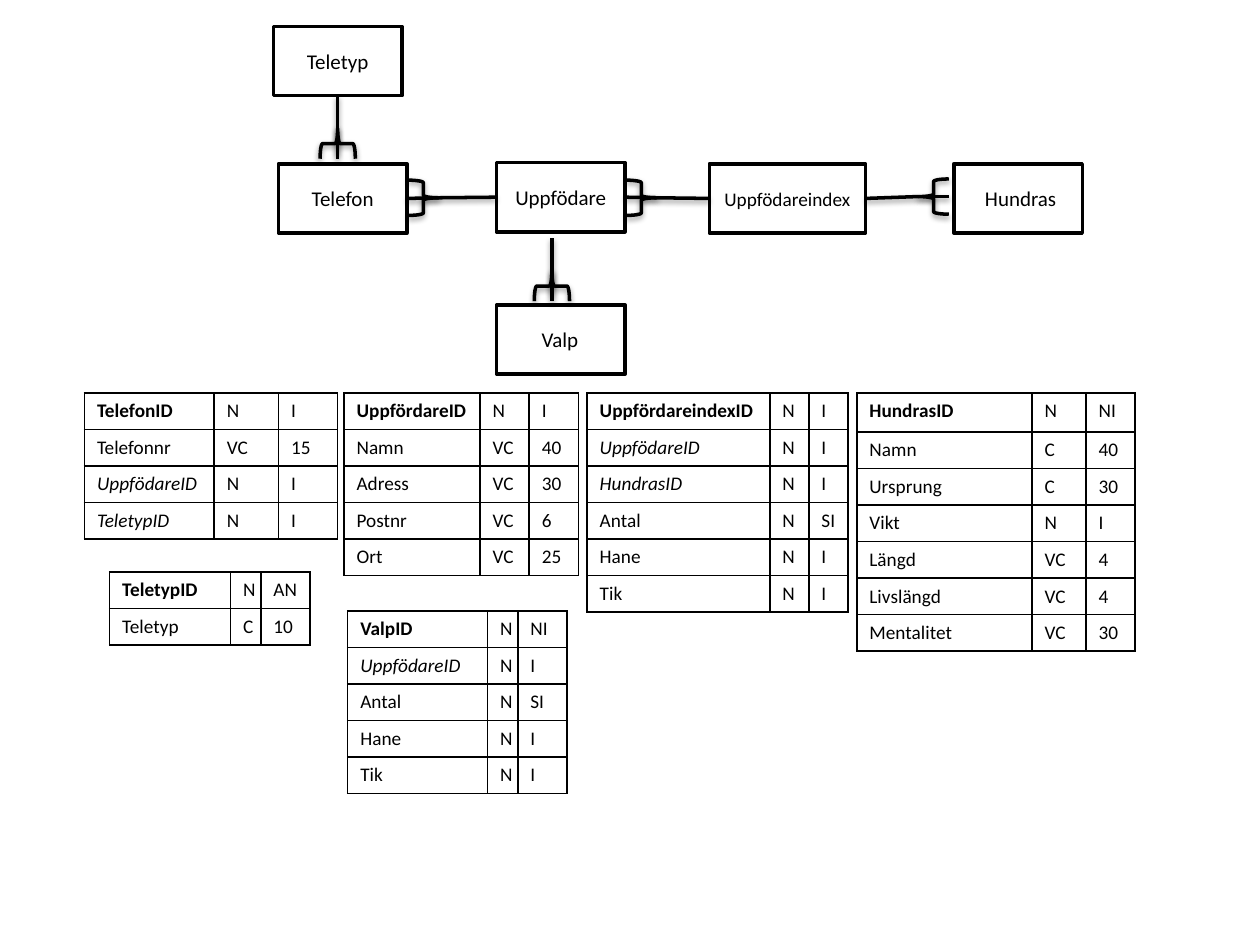
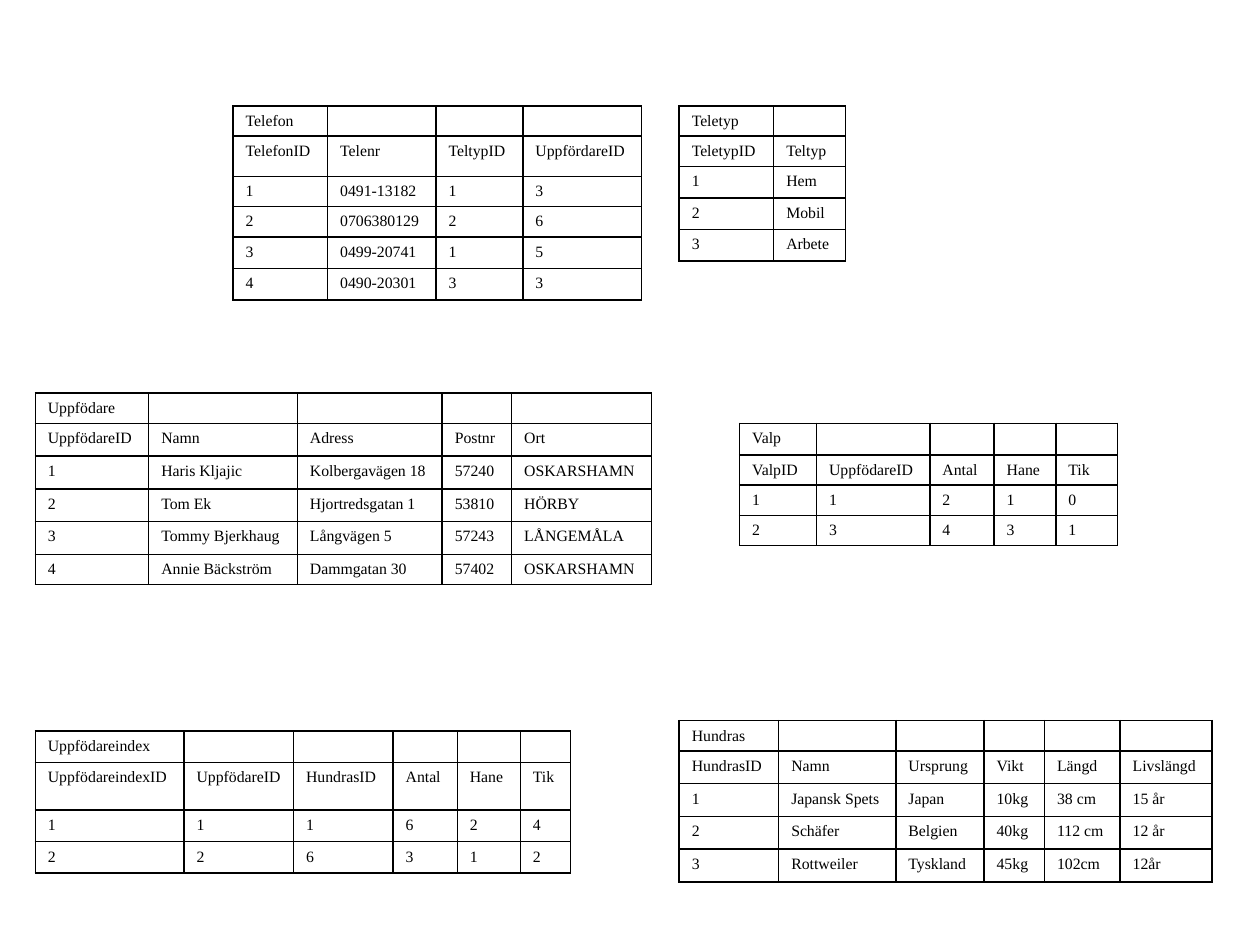
import pptx
import pptx.util
import pptx.dml.color
import pptx.enum.shapes
import pptx.enum.text
import pptx.oxml
import pptx.oxml.ns
from lxml import etree

Inches = pptx.util.Inches
Pt = pptx.util.Pt
SHAPES = pptx.enum.shapes.MSO_SHAPE
ALIGN = pptx.enum.text.PP_ALIGN
COLORS = {"ink": "000000", "paper": "FFFFFF"}
TOP, LEFT, BOTTOM, RIGHT = range(4)
BORDER_XML = (
    '<a:{side} {ns} w="12700"><a:solidFill><a:srgbClr val="{color}"/>'
    "</a:solidFill></a:{side}>"
)
SHADOW_XML = (
    '<a:outerShdw {ns} blurRad="40000" dist="20000" dir="5400000" '
    'rotWithShape="0"><a:srgbClr val="{color}"><a:alpha val="38000"/>'
    "</a:srgbClr></a:outerShdw>"
)


def rgb(name):
    return pptx.dml.color.RGBColor.from_string(COLORS[name])


def drawing_xml(template, **values):
    ns = pptx.oxml.ns.nsdecls("a")
    return pptx.oxml.parse_xml(template.format(ns=ns, color=COLORS["ink"], **values))


class Board:
    def __init__(self, deck):
        self.deck = deck
        self.page = None
        self.font = None
        self.size = None

    def new_page(self, font, size):
        self.page = self.deck.slides.add_slide(self.deck.slide_layouts[6])
        self.font = font
        self.size = size

    def set_text(self, para, text, size=None, bold=False, italic=False, align=ALIGN.LEFT):
        para.text = text
        para.alignment = align
        para.font.name = self.font
        para.font.size = Pt(size or self.size)
        para.font.bold = bold
        para.font.italic = italic
        para.font.color.rgb = rgb("ink")

    def outline(self, shape):
        shape.line.color.rgb = rgb("ink")
        shape.line.width = Pt(2)

    def cast_shadow(self, shape):
        effects = etree.SubElement(
            shape._element.spPr, pptx.oxml.ns.qn("a:effectLst")
        )
        effects.append(drawing_xml(SHADOW_XML))

    def entity(self, left, top, text="", width=1.02, size=12):
        box = self.page.shapes.add_shape(
            SHAPES.RECTANGLE, Inches(left), Inches(top), Inches(width), Inches(0.55)
        )
        box.shadow.inherit = False
        box.fill.solid()
        box.fill.fore_color.rgb = rgb("paper")
        self.outline(box)
        if text:
            self.set_text(box.text_frame.paragraphs[0], text, size, align=ALIGN.CENTER)
        return box

    def label(self, left, top, width, text, wrap, align):
        box = self.page.shapes.add_textbox(
            Inches(left), Inches(top), Inches(width), Inches(0.3)
        )
        box.text_frame.word_wrap = wrap
        box.text_frame.auto_size = pptx.enum.text.MSO_AUTO_SIZE.SHAPE_TO_FIT_TEXT
        self.set_text(box.text_frame.paragraphs[0], text, 12, align=align)

    def link(self, start, end, begin_at=None, end_at=None):
        line = self.page.shapes.add_connector(
            pptx.enum.shapes.MSO_CONNECTOR.STRAIGHT,
            *(Inches(value) for value in (*start, *end)),
        )
        if begin_at:
            line.begin_connect(*begin_at)
        if end_at:
            line.end_connect(*end_at)
        self.outline(line)
        self.cast_shadow(line)

    def brace(self, center_x, center_y, rotation=0):
        width, height = 0.24, 0.28
        brace = self.page.shapes.add_shape(
            SHAPES.RIGHT_BRACE,
            Inches(center_x - width / 2),
            Inches(center_y - height / 2),
            Inches(width),
            Inches(height),
        )
        brace.rotation = rotation
        brace.fill.background()
        self.outline(brace)
        self.cast_shadow(brace)

    def table(self, left, top, widths, heights, rows, keyed=False):
        table = self.page.shapes.add_table(
            len(rows), len(widths), Inches(left), Inches(top),
            Inches(sum(widths)), Inches(sum(heights)),
        ).table
        table.first_row = False
        table.horz_banding = False
        for column, width in zip(table.columns, widths):
            column.width = Inches(width)
        for row, height in zip(table.rows, heights):
            row.height = Inches(height)
        for r, texts in enumerate(rows):
            for c in range(len(widths)):
                text = texts[c] if c < len(texts) else ""
                is_key = keyed and c == 0 and text.endswith("ID")
                self.cell(table.cell(r, c), text, is_key and r == 0, is_key and r > 0)

    def cell(self, cell, text, bold, italic):
        self.set_text(cell.text_frame.paragraphs[0], text, bold=bold, italic=italic)
        properties = cell._tc.get_or_add_tcPr()
        for side in ("lnL", "lnR", "lnT", "lnB"):
            properties.append(drawing_xml(BORDER_XML, side=side))
        cell.fill.background()


FIELD_TABLES = [
    (0.67, 3.12, [1.03, 0.51, 0.47],
     ["TelefonID N I", "Telefonnr VC 15", "UppfödareID N I", "TeletypID N I"]),
    (0.87, 4.54, [0.96, 0.24, 0.39], ["TeletypID N AN", "Teletyp C 10"]),
    (2.73, 3.12, [1.08, 0.39, 0.39],
     ["UppfördareID N I", "Namn VC 40", "Adress VC 30", "Postnr VC 6", "Ort VC 25"]),
    (2.76, 4.85, [1.11, 0.24, 0.39],
     ["ValpID N NI", "UppfödareID N I", "Antal N SI", "Hane N I", "Tik N I"]),
    (4.66, 3.12, [1.45, 0.31, 0.31],
     ["UppfördareindexID N I", "UppfödareID N I", "HundrasID N I", "Antal N SI",
      "Hane N I", "Tik N I"]),
    (6.8, 3.12, [1.39, 0.43, 0.39],
     ["HundrasID N NI", "Namn C 40", "Ursprung C 30", "Vikt N I", "Längd VC 4",
      "Livslängd VC 4", "Mentalitet VC 30"]),
]

RECORD_TABLES = [
    (5.39, 0.84, [0.75, 0.57], [0.24, 0.24, 0.25, 0.25, 0.25],
     ["Teletyp", "TeletypID|Teltyp", "1|Hem", "2|Mobil", "3|Arbete"]),
    (1.85, 0.84, [0.75, 0.86, 0.69, 0.94], [0.24, 0.32, 0.24, 0.24, 0.25, 0.25],
     ["Telefon", "TelefonID|Telenr|TeltypID|UppfördareID", "1|0491-13182|1|3",
      "2|0706380129|2|6", "3|0499-20741|1|5", "4|0490-20301|3|3"]),
    (0.28, 3.12, [0.9, 1.18, 1.15, 0.55, 1.11], [0.24] + [0.26] * 4 + [0.24],
     ["Uppfödare", "UppfödareID|Namn|Adress|Postnr|Ort",
      "1|Haris Kljajic|Kolbergavägen 18|57240|OSKARSHAMN",
      "2|Tom Ek|Hjortredsgatan 1|53810|HÖRBY",
      "3|Tommy Bjerkhaug|Långvägen 5|57243|LÅNGEMÅLA",
      "4|Annie Bäckström|Dammgatan 30|57402|OSKARSHAMN"]),
    (0.28, 5.8, [1.18, 0.87, 0.79, 0.51, 0.5, 0.4], [0.25, 0.38, 0.25, 0.25],
     ["Uppfödareindex", "UppfödareindexID|UppfödareID|HundrasID|Antal|Hane|Tik",
      "1|1|1|6|2|4", "2|2|6|3|1|2"]),
    (5.39, 5.72, [0.79, 0.93, 0.7, 0.48, 0.6, 0.73], [0.24] + [0.26] * 4,
     ["Hundras", "HundrasID|Namn|Ursprung|Vikt|Längd|Livslängd",
      "1|Japansk Spets|Japan|10kg|38 cm|15 år",
      "2|Schäfer|Belgien|40kg|112 cm|12 år",
      "3|Rottweiler|Tyskland|45kg|102cm|12år"]),
    (5.87, 3.36, [0.61, 0.9, 0.51, 0.49, 0.49], [0.25, 0.24, 0.24, 0.24],
     ["Valp", "ValpID|UppfödareID|Antal|Hane|Tik", "1|1|2|1|0", "2|3|4|3|1"]),
]


def draw_model(board):
    board.new_page("Calibri", 11)
    breeder = board.entity(3.94, 1.29, "Uppfödare")
    board.entity(7.57, 1.3)
    board.entity(3.94, 2.42)
    phone = board.entity(2.21, 1.3, "Telefon")
    phone_type = board.entity(2.17, 0.21, "Teletyp")
    index = board.entity(5.63, 1.3, "Uppfödareindex", width=1.24, size=11)
    board.label(7.54, 1.42, 1.12, "Hundras", True, ALIGN.CENTER)
    board.label(4.2, 2.54, 0.49, "Valp", False, ALIGN.LEFT)

    axis = 1.57
    for left, many, one in ((3.24, phone, breeder), (4.97, breeder, index)):
        tip = left + 0.24
        board.brace(left + 0.12, axis)
        board.link((left, axis), (tip, axis), begin_at=(many, RIGHT))
        board.link((tip, axis), (tip + 0.45, axis), end_at=(one, LEFT))

    board.brace(7.41, 1.56, rotation=180)
    board.link((7.29, 1.56), (7.53, 1.56))
    board.link((6.87, axis), (7.29, 1.56), begin_at=(index, RIGHT))

    for x, top, begin_at in ((2.68, 0.76, (phone_type, BOTTOM)), (4.38, 1.89, None)):
        board.brace(x, top + 0.38, rotation=270)
        board.link((x, top + 0.26), (x, top + 0.5))
        board.link((x, top), (x, top + 0.45), begin_at=begin_at)

    for left, top, widths, fields in FIELD_TABLES:
        heights = [0.29] * len(fields)
        if fields[0].startswith("HundrasID"):
            heights[0] = 0.31
        rows = [field.split() for field in fields]
        board.table(left, top, widths, heights, rows, keyed=True)


def draw_records(board):
    board.new_page("Times New Roman", 9)
    for left, top, widths, heights, records in RECORD_TABLES:
        rows = [record.split("|") for record in records]
        board.table(left, top, widths, heights, rows)


def main():
    deck = pptx.Presentation()
    deck.slide_width = Inches(10)
    deck.slide_height = Inches(7.5)
    board = Board(deck)
    draw_model(board)
    draw_records(board)
    deck.save("out.pptx")


if __name__ == "__main__":
    main()
